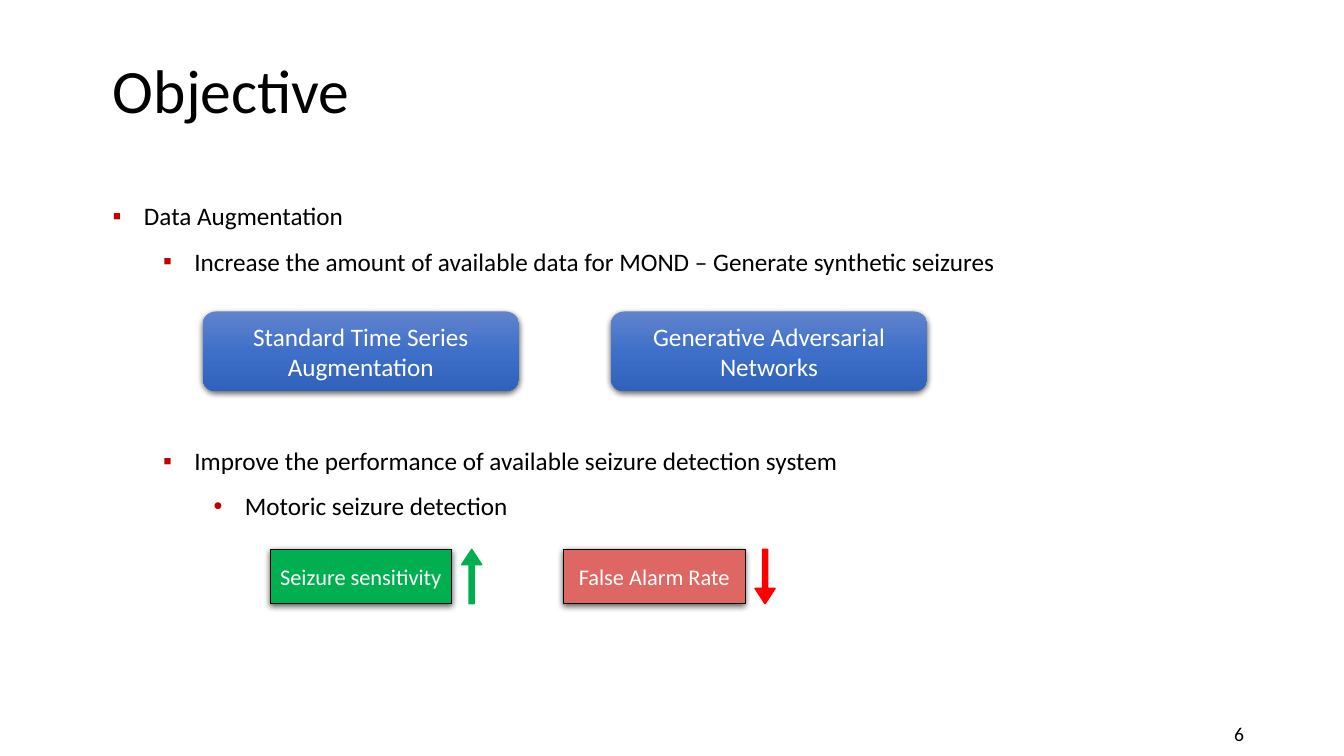
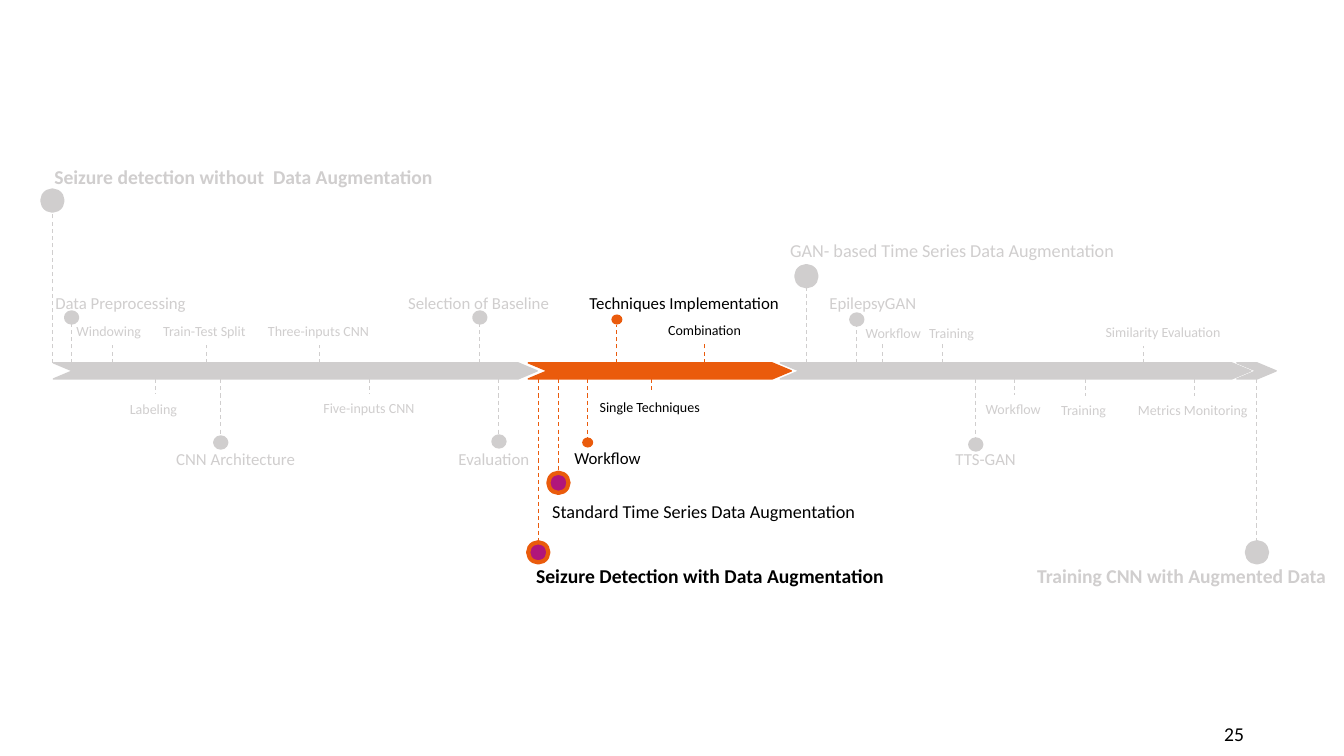
from copy import deepcopy
from dataclasses import dataclass
from typing import NamedTuple

import pptx
import pptx.dml.color
import pptx.enum.dml
import pptx.enum.shapes
import pptx.enum.text
import pptx.oxml.ns
import pptx.util
from lxml import etree

COLUMNS, ROWS = 133.33, 75  # grid of tenth-inch cells
CELL = pptx.util.Inches(0.1)
FONT = "Calibri"
BLACK, WHITE, GREY = "000000", "FFFFFF", "D0CECE"
ORANGE, MAGENTA, BULLET_RED = "EA5B0C", "B1167B", "C00000"
GREEN, ROSE, RED = "00B050", "DE6763", "FF0000"
BLUES = ("6183CB", "3E70CA", "3062BB")

SHAPE = pptx.enum.shapes.MSO_SHAPE
ALIGN = pptx.enum.text.PP_ALIGN
MIDDLE = pptx.enum.text.MSO_ANCHOR.MIDDLE
qn = pptx.oxml.ns.qn


class Box(NamedTuple):
    """Left, top, width and height in grid cells."""
    left: float
    top: float
    width: float
    height: float

    def emu(self) -> list[int]:
        return [cells(v) for v in self]


class Rank(NamedTuple):
    size: int
    height: float
    bold: bool = False
    dot_width: float = 0
    dot_height: float = 0


PHASE = Rank(14, 3.4, True, 2, 2)
METHOD = Rank(13, 3.2, False, 2, 2)
STEP = Rank(12, 3, False, 1.1, 1)
DETAIL = Rank(10, 2.7)


@dataclass
class Event:
    """A label with a stem that runs from the band to the row `tip`."""
    text: str
    rank: Rank
    stem: float
    tip: float
    left: float
    top: float
    width: float
    active: bool = False


class Bullet(NamedTuple):
    text: str
    level: int
    mark: str = "▪"


class Meter(NamedTuple):
    text: str
    fill: str
    arrow: int
    arrow_fill: str


BAND_TOP, BAND_HEIGHT = 36, 1.6
BAND = [(5.3, 48, GREY), (52.4, 26.1, ORANGE), (77.4, 46.7, GREY), (122.7, 3.9, GREY)]

EVENTS = [
    Event("Seizure detection without  Data Augmentation", PHASE, 5.2, 20.9, 4.4, 15.9, 44.8),
    Event("Data Preprocessing", STEP, 7.1, 32, 4.5, 28.6, 15.1),
    Event("Windowing", DETAIL, 11.2, 34.2, 6.6, 31.5, 8.5),
    Event("Labeling", DETAIL, 15.4, 39.1, 11.9, 39.2, 6.8),
    Event("Train-Test Split", DETAIL, 20.5, 34.2, 15.2, 31.5, 10.5),
    Event("CNN Architecture", STEP, 21.9, 43.4, 16.5, 44, 13.9),
    Event("Three-inputs CNN", DETAIL, 31.7, 34.2, 25.6, 31.5, 12.2),
    Event("Five-inputs CNN", DETAIL, 36.7, 39.1, 31.1, 39.1, 11.2),
    Event("Selection of Baseline", STEP, 47.6, 32, 39.5, 28.6, 16.2),
    Event("Evaluation", STEP, 49.5, 43.3, 44.5, 44, 9.1),
    Event("Seizure Detection with Data Augmentation", PHASE, 53.4, 53.8, 52.2, 55.5, 44.1, True),
    Event("Standard Time Series Data Augmentation", METHOD, 55.4, 46.9, 53.8, 49.1, 44.1, True),
    Event("Workflow", STEP, 58.3, 43.4, 56, 43.9, 8.7, True),
    Event("Techniques Implementation", STEP, 61.2, 32.2, 57.5, 28.6, 21, True),
    Event("Single Techniques", DETAIL, 64.6, 39, 58.5, 39, 12.2, True),
    Event("Combination", DETAIL, 69.9, 34.1, 65.3, 31.4, 9.3, True),
    Event("GAN- based Time Series Data Augmentation", METHOD, 80, 28.4, 77.4, 23.2, 44.1),
    Event("EpilepsyGAN", STEP, 85, 32.2, 81.3, 28.6, 10.7),
    Event("Workflow", DETAIL, 87.5, 34.1, 84.9, 31.7, 7.6),
    Event("Training", DETAIL, 93.5, 34.1, 91.2, 31.7, 6.6),
    Event("TTS-GAN", STEP, 96.8, 43.6, 93.8, 44, 8.1),
    Event("Workflow", DETAIL, 100.6, 39.2, 96.8, 39.2, 7.6),
    Event("Training", DETAIL, 107.7, 39.3, 104.3, 39.3, 6.6),
    Event("Similarity Evaluation", DETAIL, 113.4, 34.3, 108.7, 31.6, 13.6),
    Event("Metrics Monitoring", DETAIL, 118.5, 39.3, 111.9, 39.3, 13),
    Event("Training CNN with Augmented Data", PHASE, 124.7, 53.8, 101.9, 55.5, 31),
]


def cells(count: float) -> int:
    return int(round(count * CELL))


def rgb(value: str) -> pptx.dml.color.RGBColor:
    return pptx.dml.color.RGBColor.from_string(value)


def add_run(p, text: str, size: int, color: str = BLACK, bold: bool = False) -> None:
    r = p.add_run()
    r.text = text
    r.font.name, r.font.size, r.font.bold = FONT, pptx.util.Pt(size), bold
    r.font.color.rgb = rgb(color)


def add_text_frame(slide, box: Box, wrap: bool = True):
    tf = slide.shapes.add_textbox(*box.emu()).text_frame
    tf.word_wrap = wrap
    return tf


def add_shape(slide, kind: int, box: Box, fill: str, line: str = "", weight: float = 1):
    """Add a flat shape; an empty line colour means no outline."""
    sp = slide.shapes.add_shape(kind, *box.emu())
    sp.shadow.inherit = False
    sp.fill.solid()
    sp.fill.fore_color.rgb = rgb(fill)
    if line:
        sp.line.color.rgb = rgb(line)
        sp.line.width = pptx.util.Pt(weight)
    else:
        sp.line.fill.background()
    return sp


def add_shadow(sp) -> None:
    effects = sp._element.spPr.find(qn("a:effectLst"))
    shadow = etree.SubElement(effects, qn("a:outerShdw"), blurRad="57150", dist="19050",
                              dir="5400000", algn="ctr", rotWithShape="0")
    color = etree.SubElement(shadow, qn("a:srgbClr"), val=BLACK)
    etree.SubElement(color, qn("a:alpha"), val="63000")


def shade(sp, colors: tuple[str, ...]) -> None:
    """Fill from top to bottom with evenly spaced colours."""
    sp.fill.gradient()
    sp.fill.gradient_angle = 270
    stops = sp._element.spPr.find(".//" + qn("a:gsLst"))
    while len(stops) < len(colors):
        stops.append(deepcopy(stops[0]))
    for i, (stop, color) in enumerate(zip(sp.fill.gradient_stops, colors)):
        stop.color.rgb = rgb(color)
        stop.position = i / (len(colors) - 1)


def add_caption(sp, text: str, size: int) -> None:
    tf = sp.text_frame
    tf.word_wrap = True
    tf.margin_left = tf.margin_right = cells(0.5)
    tf.vertical_anchor = MIDDLE
    p = tf.paragraphs[0]
    p.alignment = ALIGN.CENTER
    add_run(p, text, size, WHITE)


def add_bullets(slide, box: Box, bullets: list[Bullet]) -> None:
    tf = add_text_frame(slide, box)
    for i, bullet in enumerate(bullets):
        p = tf.add_paragraph() if i else tf.paragraphs[0]
        p.level = bullet.level
        props = p._p.get_or_add_pPr()
        props.set("marL", str(cells(3.1 + 5 * bullet.level)))
        props.set("indent", str(cells(-3.1)))
        color = etree.SubElement(props, qn("a:buClr"))
        etree.SubElement(color, qn("a:srgbClr"), val=BULLET_RED)
        etree.SubElement(props, qn("a:buFont"), typeface="Arial")
        etree.SubElement(props, qn("a:buChar"), char=bullet.mark)
        p.line_spacing = 1.5
        add_run(p, bullet.text, 18)


def add_title(slide, text: str) -> None:
    title = slide.shapes.title
    title.left, title.top, title.width, title.height = Box(10.2, 5.4, 115, 7.7).emu()
    tf = title.text_frame
    tf.auto_size = pptx.enum.text.MSO_AUTO_SIZE.NONE
    tf.vertical_anchor = MIDDLE
    p = tf.paragraphs[0]
    p.alignment, p.line_spacing = ALIGN.LEFT, 0.9
    add_run(p, text, 44)


def add_page_number(slide, number: int) -> None:
    tf = add_text_frame(slide, Box(94.4, 70.8, 30, 4))
    tf.vertical_anchor = MIDDLE
    p = tf.paragraphs[0]
    p.alignment = ALIGN.RIGHT
    add_run(p, str(number), 14)


def add_stem(slide, event: Event) -> None:
    base = BAND_TOP if event.tip < BAND_TOP else BAND_TOP + BAND_HEIGHT
    stem = slide.shapes.add_connector(
        pptx.enum.shapes.MSO_CONNECTOR.STRAIGHT,
        *(cells(v) for v in (event.stem, base, event.stem, event.tip)))
    stem.line.color.rgb = rgb(ORANGE if event.active else GREY)
    stem.line.width = pptx.util.Pt(0.75)
    stem.line.dash_style = pptx.enum.dml.MSO_LINE.DASH
    etree.SubElement(stem._element.spPr, qn("a:effectLst"))


def add_dot(slide, event: Event) -> None:
    width, height = event.rank.dot_width, event.rank.dot_height
    top = event.tip - height if event.tip < BAND_TOP else event.tip
    fill, line = GREY, GREY
    if event.active:
        fill, line = (ORANGE, "") if event.rank is STEP else (MAGENTA, ORANGE)
    box = Box(event.stem - width / 2, top, width, height)
    add_shape(slide, SHAPE.FLOWCHART_CONNECTOR, box, fill, line, 3)


def add_label(slide, event: Event) -> None:
    rank = event.rank
    box = Box(event.left, event.top, event.width, rank.height)
    tf = add_text_frame(slide, box, wrap=rank in (PHASE, METHOD))
    add_run(tf.paragraphs[0], event.text, rank.size, BLACK if event.active else GREY, rank.bold)


def build_objective(prs) -> None:
    slide = prs.slides.add_slide(prs.slide_layouts[5])
    add_title(slide, "Objective")
    add_page_number(slide, 6)
    add_bullets(slide, Box(10.2, 17.9, 103.8, 9.6), [
        Bullet("Data Augmentation", 0),
        Bullet("Increase the amount of available data for MOND – Generate synthetic seizures", 1),
    ])
    add_bullets(slide, Box(10.2, 42.2, 91.8, 9.6), [
        Bullet("Improve the performance of available seizure detection system", 1),
        Bullet("Motoric seizure detection", 2, "•"),
    ])

    approaches = ("Standard Time Series Augmentation", "Generative Adversarial Networks")
    for i, text in enumerate(approaches):
        box = Box(20.1 + 40.5 * i, 30.9, 31.4, 7.9)
        sp = add_shape(slide, SHAPE.ROUNDED_RECTANGLE, box, BLUES[1])
        shade(sp, BLUES)
        add_shadow(sp)
        add_caption(sp, text, 18)

    meters = (Meter("Seizure sensitivity", GREEN, SHAPE.UP_ARROW, GREEN),
              Meter("False Alarm Rate", ROSE, SHAPE.DOWN_ARROW, RED))
    for i, meter in enumerate(meters):
        box = Box(26.8 + 29.1 * i, 54.5, 18, 5.4)
        sp = add_shape(slide, SHAPE.RECTANGLE, box, meter.fill, BLACK, 0.5)
        add_shadow(sp)
        add_caption(sp, meter.text, 16)
        arrow_box = Box(box.left + box.width + 1, box.top, 2, box.height)
        arrow = add_shape(slide, meter.arrow, arrow_box, meter.arrow_fill, meter.arrow_fill)
        arrow.adjustments[0], arrow.adjustments[1] = 0.25, 0.76


def build_timeline(prs) -> None:
    slide = prs.slides.add_slide(prs.slide_layouts[6])
    add_page_number(slide, 25)
    for event in EVENTS:
        add_stem(slide, event)
    for left, width, color in BAND:
        box = Box(left, BAND_TOP, width, BAND_HEIGHT)
        add_shape(slide, SHAPE.CHEVRON, box, color, color).adjustments[0] = 1.19
    for event in EVENTS:
        if event.rank.dot_width:
            add_dot(slide, event)
        add_label(slide, event)


def main() -> None:
    prs = pptx.Presentation()
    prs.slide_width, prs.slide_height = cells(COLUMNS), cells(ROWS)
    build_objective(prs)
    build_timeline(prs)
    prs.save("out.pptx")


if __name__ == "__main__":
    main()
